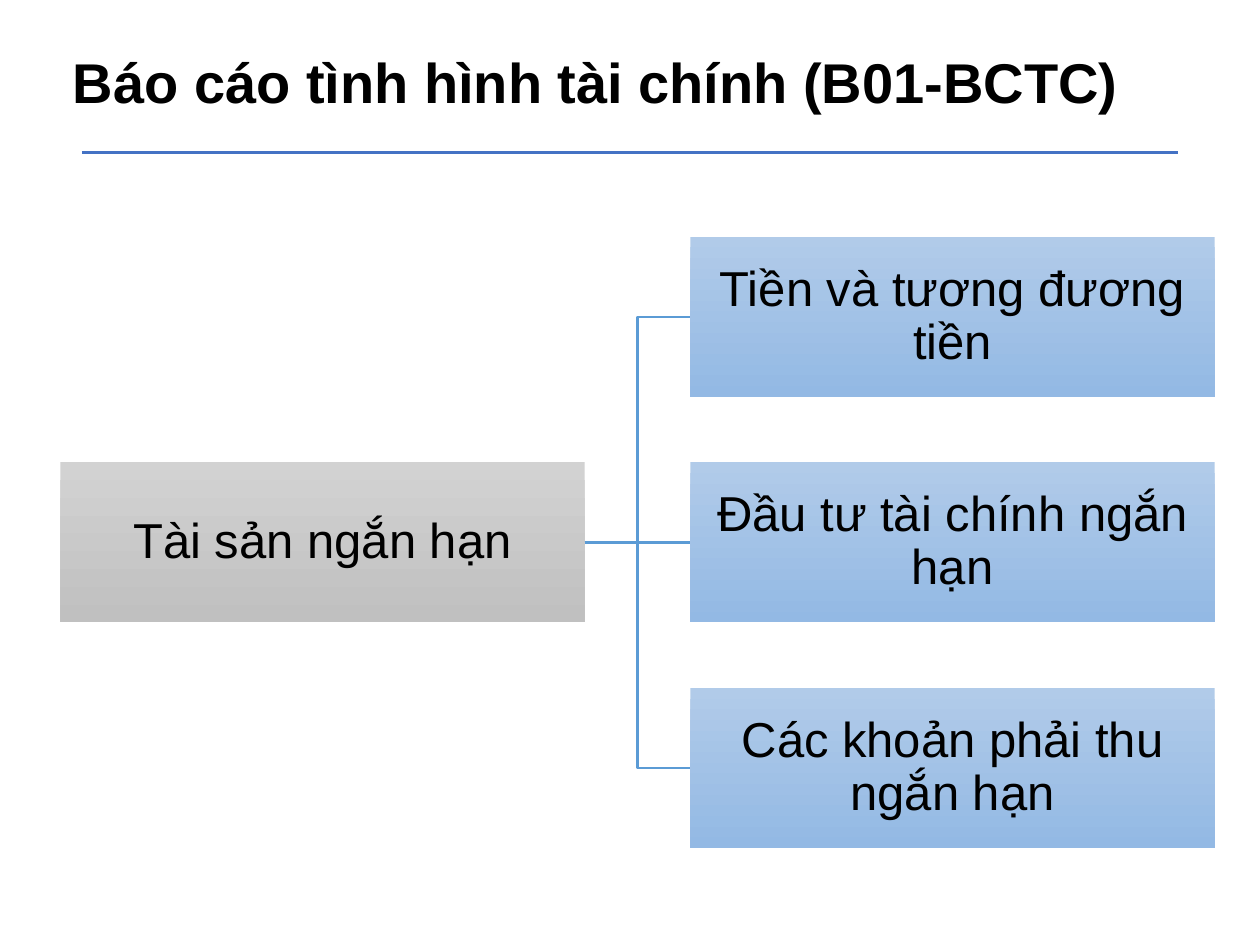
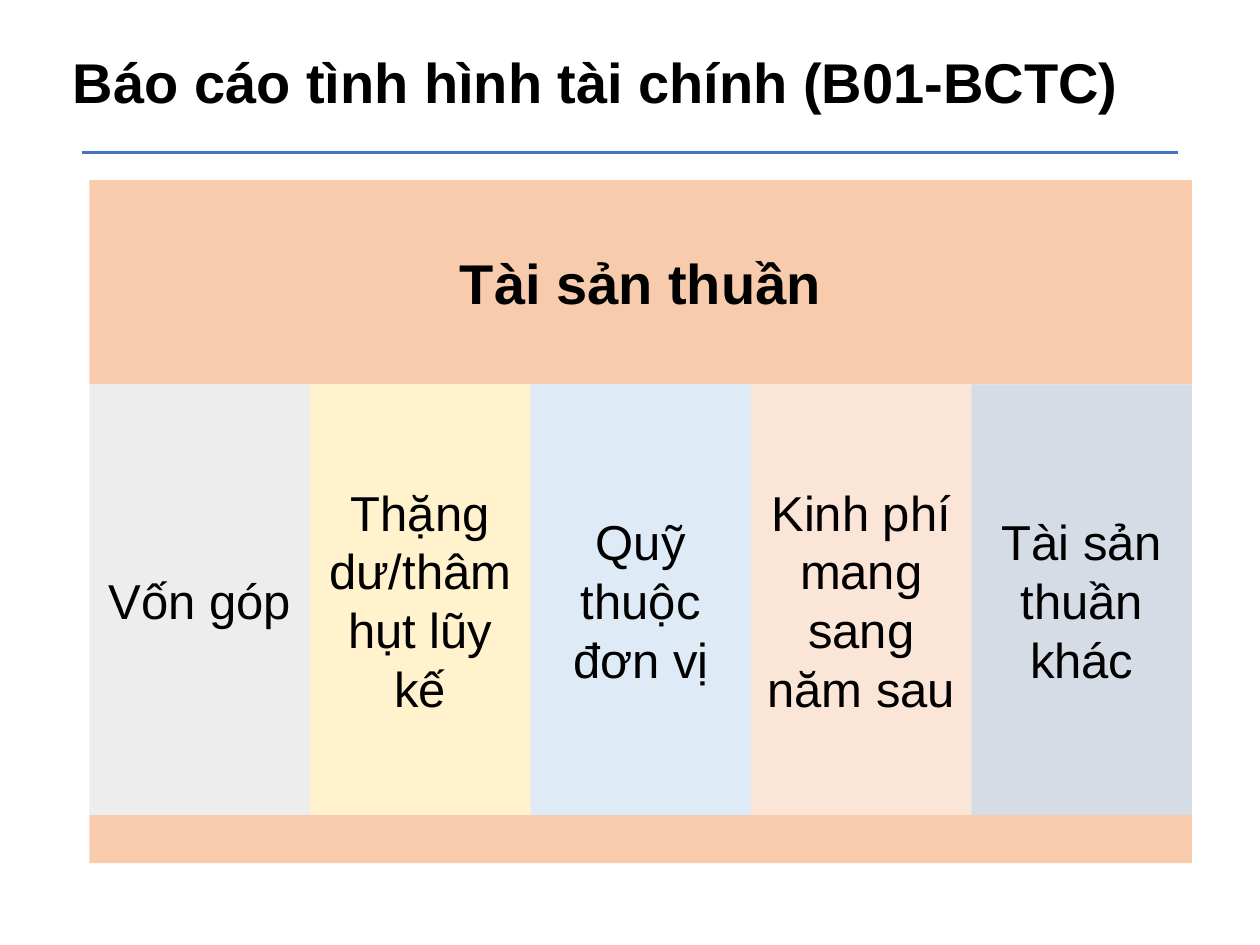
from dataclasses import dataclass

from lxml.etree import SubElement
from pptx import Presentation
from pptx.dml.color import RGBColor
from pptx.enum.shapes import MSO_CONNECTOR, MSO_SHAPE
from pptx.enum.text import MSO_ANCHOR, MSO_AUTO_SIZE, PP_ALIGN
from pptx.oxml.ns import qn
from pptx.util import Inches, Pt

TITLE = "Báo cáo tình hình tài chính (B01-BCTC)"

ASSET_ROOT = "Tài sản ngắn hạn"
ASSET_ITEMS = [
    "Tiền và tương đương tiền",
    "Đầu tư tài chính ngắn hạn",
    "Các khoản phải thu ngắn hạn",
]

NET_ASSETS = "Tài sản thuần"
NET_ASSET_COLUMNS = [
    ("Vốn góp", "EDEDED"),
    ("Thặng dư/thâm hụt lũy kế", "FFF2CC"),
    ("Quỹ thuộc đơn vị", "DEEBF7"),
    ("Kinh phí mang sang năm sau", "FBE5D6"),
    ("Tài sản thuần khác", "D6DCE5"),
]


@dataclass(frozen=True)
class Theme:
    font: str = "Arial"
    heading: int = 32
    body: int = 28
    line: float = 1.5
    text: str = "000000"
    rule: str = "4472C4"
    branch: str = "5B9BD5"
    band: str = "F8CBAD"
    root: tuple = ("D2D2D2", "C0C0C0")
    item: tuple = ("B1CBE9", "93B9E4")


T = Theme()


def rgb(value):
    return RGBColor.from_string(value)


def style(p, size, bold=False, align=PP_ALIGN.CENTER, spacing=None):
    p.alignment = align
    p.line_spacing = spacing
    p.font.name = T.font
    p.font.size = Pt(size)
    p.font.bold = bold
    p.font.color.rgb = rgb(T.text)


def add_line(s, kind, color, x1=0, y1=0, x2=0, y2=0):
    c = s.shapes.add_connector(kind, *map(Inches, (x1, y1, x2, y2)))
    c.line.color.rgb = rgb(color)
    c.line.width = Pt(T.line)
    SubElement(c._element.spPr, qn("a:effectLst"))
    return c


def add_box(s, x, y, w, h, fill, text="", inset=0.12, size=T.body, bold=False, spacing=None):
    sp = s.shapes.add_shape(MSO_SHAPE.RECTANGLE, *map(Inches, (x, y, w, h)))
    sp.shadow.inherit = False
    sp.line.fill.background()
    if isinstance(fill, tuple):
        sp.fill.gradient()
        sp.fill.gradient_angle = 270
        for stop, color in zip(sp.fill.gradient_stops, fill):
            stop.color.rgb = rgb(color)
    else:
        sp.fill.solid()
        sp.fill.fore_color.rgb = rgb(fill)
    if text:
        tf = sp.text_frame
        tf.word_wrap = True
        tf.vertical_anchor = MSO_ANCHOR.MIDDLE
        tf.margin_left = tf.margin_right = tf.margin_top = tf.margin_bottom = Inches(inset)
        tf.text = text
        style(tf.paragraphs[0], size, bold, spacing=spacing)
    return sp


def add_slide(prs):
    s = prs.slides.add_slide(prs.slide_layouts[6])
    add_line(s, MSO_CONNECTOR.STRAIGHT, T.rule, 0.65, 1.21, 9.35, 1.21)
    tf = s.shapes.add_textbox(*map(Inches, (0.48, 0.33, 8.65, 0.64))).text_frame
    tf.word_wrap = True
    tf.auto_size = MSO_AUTO_SIZE.SHAPE_TO_FIT_TEXT
    tf.text = TITLE
    style(tf.paragraphs[0], T.heading, True, PP_ALIGN.JUSTIFY)
    return s


def build_assets(prs):
    s = add_slide(prs)
    w, h, top, pitch = 4.16, 1.27, 1.88, 1.79
    middle = (len(ASSET_ITEMS) - 1) / 2
    look = dict(inset=0.02, spacing=0.9)
    root = add_box(s, 0.48, top + middle * pitch, w, h, T.root, ASSET_ROOT, **look)
    for i, text in enumerate(ASSET_ITEMS):
        item = add_box(s, 5.48, top + i * pitch, w, h, T.item, text, **look)
        kind = MSO_CONNECTOR.STRAIGHT if i == middle else MSO_CONNECTOR.ELBOW
        c = add_line(s, kind, T.branch)
        c.begin_connect(root, 3)
        c.end_connect(item, 1)


def build_net_assets(prs):
    s = add_slide(prs)
    left, top, w = 0.71, 1.43, 8.75
    head_h, column_h, foot_h = 1.62, 3.42, 0.38
    column_w = w / len(NET_ASSET_COLUMNS)
    add_box(s, left, top, w, head_h, T.band, NET_ASSETS, size=T.heading, bold=True)
    for i, (text, fill) in enumerate(NET_ASSET_COLUMNS):
        add_box(s, left + i * column_w, top + head_h, column_w, column_h, fill, text)
    add_box(s, left, top + head_h + column_h, w, foot_h, T.band)


def main():
    prs = Presentation()
    prs.slide_width, prs.slide_height = Inches(10), Inches(7.5)
    build_assets(prs)
    build_net_assets(prs)
    prs.save("out.pptx")


if __name__ == "__main__":
    main()
